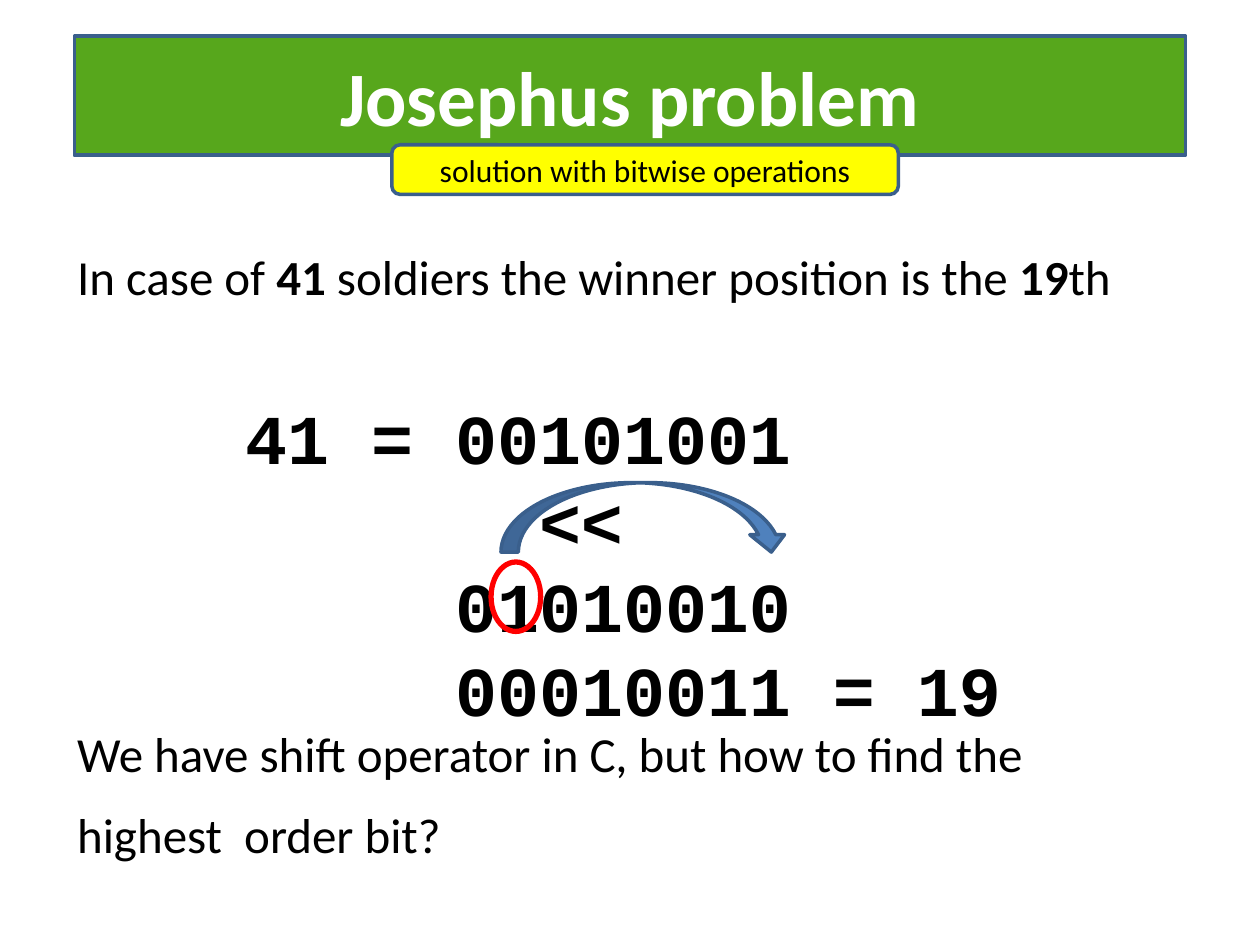
"""Build the Josephus problem slide about bitwise operations."""
from lxml.etree import SubElement
from pptx import Presentation
from pptx.dml.color import RGBColor
from pptx.enum.shapes import MSO_SHAPE
from pptx.enum.text import MSO_ANCHOR, MSO_AUTO_SIZE, PP_ALIGN
from pptx.oxml.ns import qn
from pptx.util import Cm, Pt

COLORS = {
    "green": "57A71C", "yellow": "FFFF00", "blue": "4F81BD", "outline": "3A5F8C",
    "red": "FF0000", "white": "FFFFFF", "black": "000000",
}
CHARACTER = 24


def write(para, text, size=28, font="Calibri", color="black", bold=False):
    span = para.add_run()
    span.text = text
    span.font.size = Pt(size)
    span.font.name = font
    span.font.bold = bold
    span.font.color.rgb = RGBColor.from_string(COLORS[color])


def paint(shape, fill, line, width):
    if fill:
        shape.fill.solid()
        shape.fill.fore_color.rgb = RGBColor.from_string(COLORS[fill])
    else:
        shape.fill.background()
    shape.line.color.rgb = RGBColor.from_string(COLORS[line])
    shape.line.width = Pt(width)


deck = Presentation()
deck.slide_width, deck.slide_height = Cm(25.4), Cm(19.05)
page = deck.slides.add_slide(deck.slide_layouts[1])

title, body = page.placeholders
title.left, title.top, title.width, title.height = Cm(1.5), Cm(0.73), Cm(22.4), Cm(2.4)
geometry = SubElement(title._element.spPr, qn("a:prstGeom"), prst="roundRect")
SubElement(geometry, qn("a:avLst"))
paint(title, "green", "outline", 2)
title.text_frame.auto_size = MSO_AUTO_SIZE.NONE
title.text_frame.vertical_anchor = MSO_ANCHOR.MIDDLE
heading = title.text_frame.paragraphs[0]
heading.alignment = PP_ALIGN.CENTER
write(heading, "Josephus problem", size=44, color="white", bold=True)

body.left, body.top, body.width, body.height = Cm(1.3), Cm(4.1), Cm(22.6), Cm(13.6)
frame = body.text_frame
frame.auto_size = MSO_AUTO_SIZE.NONE
frame.word_wrap = True
frame.margin_top = Cm(0.85)

sentence = {"size": 28}
code = {"size": 40, "font": "Courier New", "bold": True}
lines = [
    (0, 34, 0, sentence, ["In case of ", "41 ", "soldiers the winner position is the ", "19", "th"]),
    (4, 48, 51, code, ["41 = 00101001"]),
    (11, 48, 0, code, ["<<"]),
    (9, 48, 0, code, ["01010010"]),
    (9, 48, 0, code, ["00010011 = 19"]),
    (0, 30, 0, sentence, ["We have shift operator in C, but how to find the"]),
    (0, 46, 0, sentence, ["highest  order bit?"]),
]
for number, (indent, height, gap, style, parts) in enumerate(lines):
    para = frame.add_paragraph() if number else frame.paragraphs[0]
    para.line_spacing = Pt(height)
    para.space_before, para.space_after = Pt(gap), Pt(0)
    properties = para._p.get_or_add_pPr()
    properties.set("marL", str(Pt(indent * CHARACTER)))
    properties.set("indent", "0")
    SubElement(properties, qn("a:buNone"))
    for position, part in enumerate(parts):
        write(para, part, **{"bold": position % 2 == 1, **style})

shapes = [
    (MSO_SHAPE.ROUNDED_RECTANGLE, 7.9, 2.92, 10.21, 1, "yellow", "outline", 2,
     "solution with bitwise operations"),
    (MSO_SHAPE.OVAL, 9.9, 11.33, 1, 1.4, None, "red", 3, ""),
    (MSO_SHAPE.CURVED_DOWN_ARROW, 10.1, 9.73, 5.8, 1.4, "blue", "outline", 2, ""),
]
for kind, left, top, width, height, fill, line, weight, label in shapes:
    shape = page.shapes.add_shape(kind, Cm(left), Cm(top), Cm(width), Cm(height))
    shape.shadow.inherit = False
    paint(shape, fill, line, weight)
    if label:
        shape.text_frame.word_wrap = True
        shape.text_frame.vertical_anchor = MSO_ANCHOR.MIDDLE
        caption = shape.text_frame.paragraphs[0]
        caption.alignment = PP_ALIGN.CENTER
        write(caption, label, size=18)

deck.save("out.pptx")
